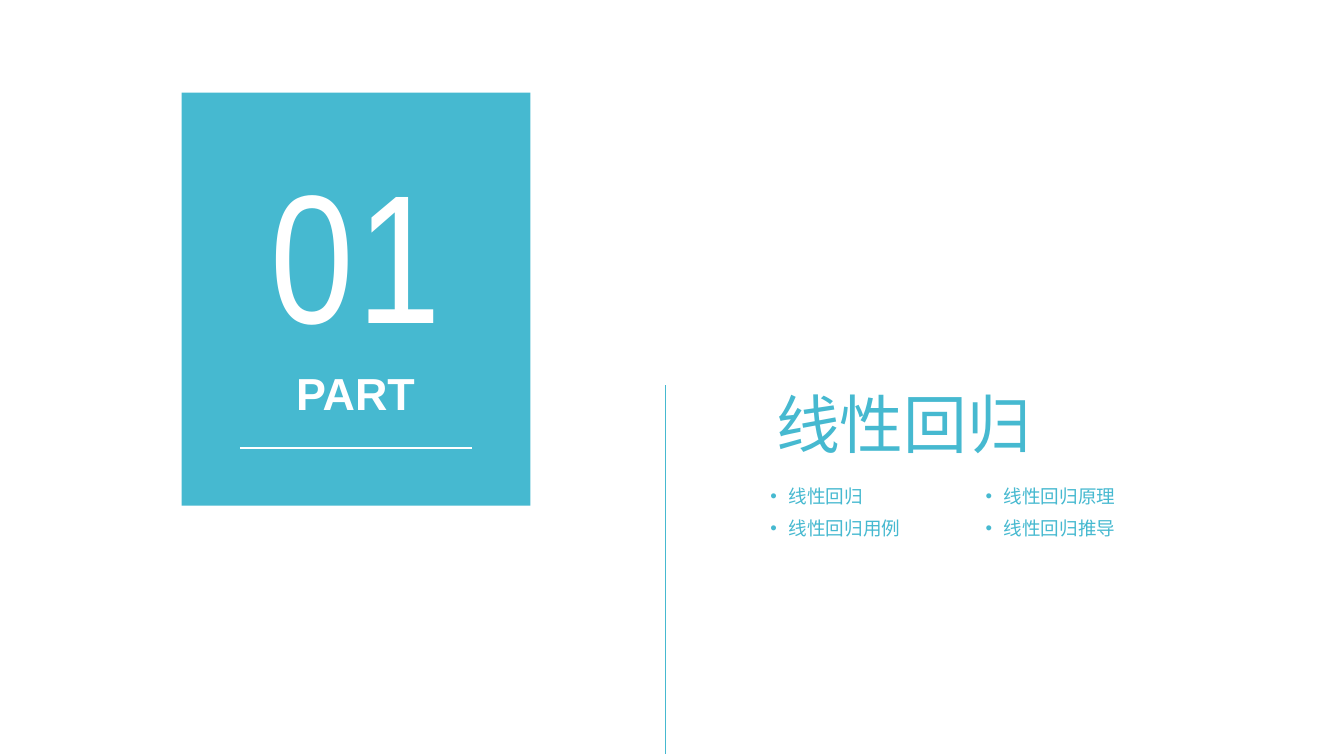
from dataclasses import dataclass

from lxml.etree import SubElement
from pptx import Presentation
from pptx.dml.color import RGBColor
from pptx.enum.shapes import MSO_CONNECTOR, MSO_SHAPE
from pptx.enum.text import MSO_AUTO_SIZE, PP_ALIGN
from pptx.oxml.ns import qn
from pptx.util import Inches, Pt


@dataclass(frozen=True)
class Theme:
    accent: RGBColor = RGBColor(0x46, 0xB9, 0xD0)
    light: RGBColor = RGBColor(0xFF, 0xFF, 0xFF)
    font: str = "Arial"
    number_font: str = "Arial Narrow"
    number_size: float = 138
    title_size: float = 48
    part_size: float = 33.8
    topic_size: float = 14


def write_text(paragraph, text, *, size, color, font, bold=False,
               align=PP_ALIGN.LEFT, spacing=0, before_percent=0, bullet=False):
    paragraph.alignment = align
    properties = paragraph._p.get_or_add_pPr()
    if before_percent:
        space_before = SubElement(properties, qn("a:spcBef"))
        percent = SubElement(space_before, qn("a:spcPct"))
        percent.set("val", str(before_percent * 1000))
    if bullet:
        indent = Inches(0.19)
        properties.set("marL", str(indent))
        properties.set("indent", str(-indent))
        SubElement(properties, qn("a:buFont")).set("typeface", font)
        SubElement(properties, qn("a:buChar")).set("char", "•")
    run = paragraph.add_run()
    run.text = text
    run.font.size = Pt(size)
    run.font.name = font
    run.font.bold = bold
    run.font.color.rgb = color
    if spacing:
        run._r.get_or_add_rPr().set("spc", str(spacing * 100))


class SlideBuilder:
    def __init__(self, slide, theme):
        self.slide = slide
        self.theme = theme

    def panel(self, left, top, width, height):
        shape = self.slide.shapes.add_shape(
            MSO_SHAPE.RECTANGLE, Inches(left), Inches(top), Inches(width), Inches(height))
        shape.shadow.inherit = False
        shape.fill.solid()
        shape.fill.fore_color.rgb = self.theme.accent
        shape.line.fill.background()

    def line(self, start, end, color, width):
        connector = self.slide.shapes.add_connector(
            MSO_CONNECTOR.STRAIGHT, *map(Inches, start + end))
        connector.line.color.rgb = color
        connector.line.width = Pt(width)
        SubElement(connector._element.spPr, qn("a:effectLst"))

    def text(self, left, top, width, height, text, *, padded=False, **text_format):
        box = self.slide.shapes.add_textbox(
            Inches(left), Inches(top), Inches(width), Inches(height))
        frame = box.text_frame
        frame.word_wrap = True
        frame.auto_size = MSO_AUTO_SIZE.SHAPE_TO_FIT_TEXT
        if not padded:
            frame.margin_left = frame.margin_right = 0
            frame.margin_top = frame.margin_bottom = 0
        text_format.setdefault("font", self.theme.font)
        write_text(frame.paragraphs[0], text, **text_format)


def main():
    presentation = Presentation()
    presentation.slide_width = Inches(14.06)
    presentation.slide_height = Inches(7.91)
    slide = presentation.slides.add_slide(presentation.slide_layouts[6])
    theme = Theme()
    builder = SlideBuilder(slide, theme)

    builder.panel(1.9, 0.97, 3.65, 4.32)
    builder.line((2.51, 4.69), (4.94, 4.69), theme.light, 1.5)
    builder.text(2.38, 3.83, 2.68, 0.57, "PART", size=theme.part_size,
                 color=theme.light, bold=True, align=PP_ALIGN.CENTER)
    builder.line((6.96, 4.03), (6.96, 7.89), theme.accent, 0.5)
    builder.text(8.12, 4.03, 4.72, 0.81, "线性回归",
                 size=theme.title_size, color=theme.accent)
    builder.text(2.3, 1.42, 2.85, 2.42, "01", padded=True, size=theme.number_size,
                 color=theme.light, font=theme.number_font, align=PP_ALIGN.CENTER,
                 spacing=3, before_percent=20)

    topic_rows = [("线性回归", "线性回归原理"), ("线性回归用例", "线性回归推导")]
    for row, topics in enumerate(topic_rows):
        for column, topic in enumerate(topics):
            builder.text(8.06 + 2.25 * column, 5.07 + 0.34 * row, 2.01, 0.24, topic,
                         size=theme.topic_size, color=theme.accent, bullet=True)

    presentation.save("out.pptx")


if __name__ == "__main__":
    main()
